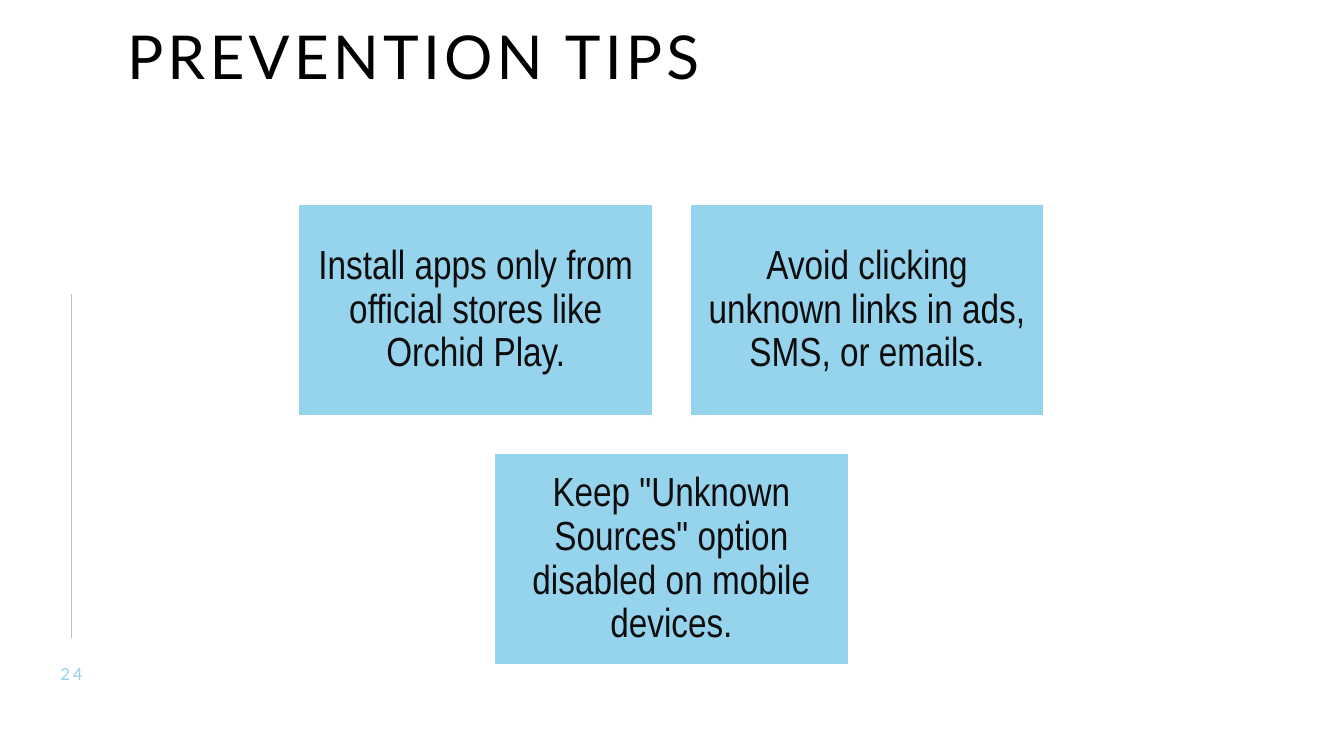
import pptx
import pptx.util
import pptx.dml.color
import pptx.enum.shapes
import pptx.enum.text
from lxml import etree

Inches, Pt = pptx.util.Inches, pptx.util.Pt
ALIGN = pptx.enum.text.PP_ALIGN
ANCHOR = pptx.enum.text.MSO_ANCHOR

# Content
TITLE = "PREVENTION TIPS"
NUMBER = "24"
ROWS = [
    ["Install apps only from official stores like Orchid Play.",
     "Avoid clicking unknown links in ads, SMS, or emails."],
    ['Keep "Unknown Sources" option disabled on mobile devices.'],
]

# Look and layout, in inches
SKY, INK, BLACK, WHITE, GREY = "96D3ED", "0D0D0D", "000000", "FFFFFF", "BFBFBF"
WIDE, HIGH, GAP = 3.52, 2.11, 0.36
MID, TOP = 6.66, 2.02


def color(code):
    return pptx.dml.color.RGBColor.from_string(code)


def write(shape, text, font="Lato", size=12, ink=BLACK, align=ALIGN.LEFT,
          anchor=ANCHOR.MIDDLE, inset=0, lead=1, track=0):
    frame = shape.text_frame
    frame.word_wrap = True
    frame.vertical_anchor = anchor
    frame.margin_left = frame.margin_right = Inches(inset)
    frame.margin_top = frame.margin_bottom = Inches(inset)
    para = frame.paragraphs[0]
    para.alignment = align
    para.line_spacing = lead
    run = para.add_run()
    run.text = text
    run.font.name = font
    run.font.size = Pt(size)
    run.font.color.rgb = color(ink)
    if track:
        run._r.get_or_add_rPr().set("spc", str(track * 100))


def box(slide, left, top, wide, high):
    return slide.shapes.add_textbox(
        Inches(left), Inches(top), Inches(wide), Inches(high))


def card(slide, left, top, text):
    shape = slide.shapes.add_shape(
        pptx.enum.shapes.MSO_SHAPE.RECTANGLE,
        Inches(left), Inches(top), Inches(WIDE), Inches(HIGH))
    shape.shadow.inherit = False
    shape.fill.solid()
    shape.fill.fore_color.rgb = color(SKY)
    shape.line.color.rgb = color(WHITE)
    shape.line.width = Pt(1.5)
    write(shape, text, font="Arial Narrow", size=29, ink=INK,
          align=ALIGN.CENTER, inset=0.12, lead=0.9)


def rule(slide, x, top, end):
    line = slide.shapes.add_connector(
        pptx.enum.shapes.MSO_CONNECTOR.STRAIGHT,
        Inches(x), Inches(top), Inches(x), Inches(end))
    line.line.color.rgb = color(GREY)
    line.line.width = Pt(1)
    etree.SubElement(line._element.spPr, pptx.oxml.ns.qn("a:effectLst"))


def main():
    deck = pptx.Presentation()
    deck.slide_width, deck.slide_height = Inches(13.33), Inches(7.5)
    slide = deck.slides.add_slide(deck.slide_layouts[6])

    # Side rule, title and page number
    rule(slide, 0.71, 2.92, 6.33)
    write(box(slide, 1.26, 0, 10.52, 0.92), TITLE, size=43.2,
          anchor=ANCHOR.BOTTOM, lead=0.9, track=3)
    write(box(slide, 0.46, 6.58, 0.5, 0.2), NUMBER, ink=SKY,
          align=ALIGN.CENTER, track=2)

    # Cards, each row centred
    for r, row in enumerate(ROWS):
        span = len(row) * (WIDE + GAP) - GAP
        for c, tip in enumerate(row):
            card(slide, MID - span / 2 + c * (WIDE + GAP),
                 TOP + r * (HIGH + GAP), tip)

    deck.save("out.pptx")


if __name__ == "__main__":
    main()
